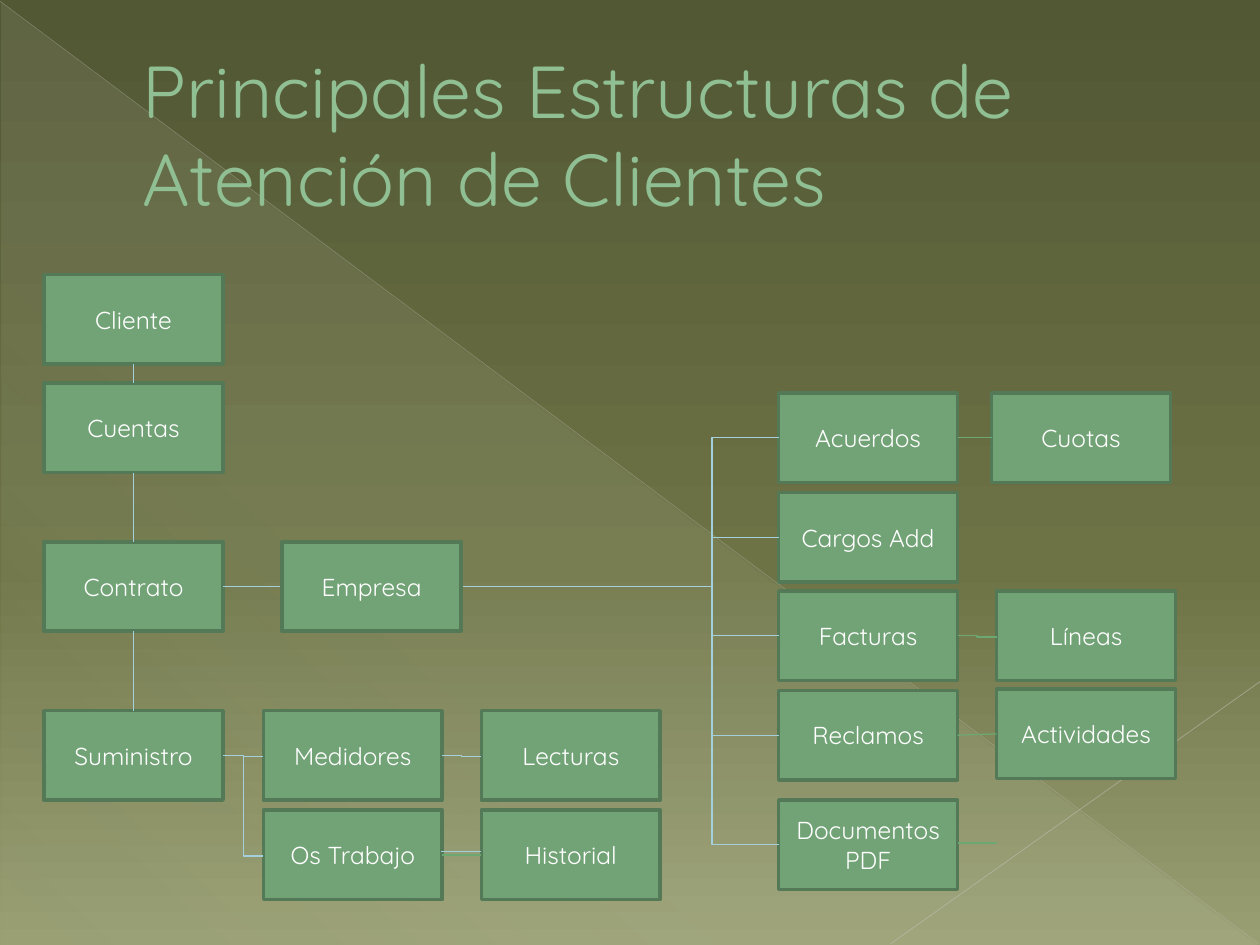
from lxml import etree
from pptx import Presentation
from pptx.dml.color import RGBColor
from pptx.enum.shapes import MSO_CONNECTOR, MSO_SHAPE
from pptx.enum.text import MSO_ANCHOR, MSO_AUTO_SIZE, PP_ALIGN
from pptx.oxml.ns import qn
from pptx.util import Inches, Pt

STRAIGHT, ELBOW = MSO_CONNECTOR.STRAIGHT, MSO_CONNECTOR.ELBOW
RECTANGLE, TRIANGLE = MSO_SHAPE.RECTANGLE, MSO_SHAPE.RIGHT_TRIANGLE
MIDDLE, NO_FIT = MSO_ANCHOR.MIDDLE, MSO_AUTO_SIZE.NONE
LEFT, CENTER = PP_ALIGN.LEFT, PP_ALIGN.CENTER
TOP_SIDE, LEFT_SIDE, BOTTOM_SIDE, RIGHT_SIDE = range(4)

FONT = "Quicksand"
OLIVE_DARK = RGBColor(0x52, 0x57, 0x34)
OLIVE = RGBColor(0x6D, 0x73, 0x45)
OLIVE_LIGHT = RGBColor(0x99, 0x9F, 0x73)
IVORY = RGBColor(0xEA, 0xEB, 0xDE)
RULE_GRAY = RGBColor(0xC1, 0xC3, 0xB9)
RULE_PALE = RGBColor(0xC8, 0xC9, 0xC1)
TITLE_GREEN = RGBColor(0x8F, 0xBF, 0x93)
TITLE_EDGE = RGBColor(0x4F, 0x71, 0x52)
BOX_GREEN = RGBColor(0x72, 0xA3, 0x76)
BOX_EDGE = RGBColor(0x54, 0x79, 0x57)
LINK_BLUE = RGBColor(0xA3, 0xD0, 0xDC)
LINK_GREEN = RGBColor(0x6D, 0xA8, 0x72)
WHITE = RGBColor(0xFF, 0xFF, 0xFF)

BOX_WIDTH, BOX_HEIGHT = 1.42, 0.71
TRUNK_BEND = 0.88
NODES = {
    "Cliente": (0.35, 2.18),
    "Cuentas": (0.35, 3.04),
    "Contrato": (0.35, 4.3),
    "Suministro": (0.35, 5.64),
    "Medidores": (2.09, 5.64),
    "Lecturas": (3.82, 5.64),
    "Os Trabajo": (2.09, 6.43),
    "Historial": (3.82, 6.43),
    "Acuerdos": (6.18, 3.12),
    "Cargos Add": (6.18, 3.91),
    "Facturas": (6.18, 4.69),
    "Reclamos": (6.18, 5.48),
    "Documentos\nPDF": (6.18, 6.35),
    "Cuotas": (7.87, 3.12),
    "Líneas": (7.91, 4.69),
    "Actividades": (7.91, 5.47),
}
TRUNK_ENDS = ["Acuerdos", "Cargos Add", "Facturas", "Reclamos", "Documentos\nPDF"]
COLUMN = ["Cliente", "Cuentas", "Contrato", "Suministro"]


def set_alpha(color_element, percent):
    etree.SubElement(color_element, qn("a:alpha"), val=str(percent * 1000))


def set_gradient(element, stops, angle):
    gradient = element.find(".//" + qn("a:gradFill"))
    stop_list = gradient.find(qn("a:gsLst"))
    for stop in list(stop_list):
        stop_list.remove(stop)
    for position, color, opacity in stops:
        stop = etree.SubElement(stop_list, qn("a:gs"), pos=str(position * 1000))
        color_element = etree.SubElement(stop, qn("a:srgbClr"), val=str(color))
        if opacity < 100:
            set_alpha(color_element, opacity)
    gradient.find(qn("a:lin")).set("ang", str(angle * 60000))


def add_line(page, start, end, color, width=0.75, kind=STRAIGHT, bend=None, opacity=100):
    points = [Inches(value) for value in (*start, *end)]
    line = page.shapes.add_connector(kind, *points)
    line.line.color.rgb = color
    line.line.width = Pt(width)
    properties = line.element.find(qn("p:spPr"))
    etree.SubElement(properties, qn("a:effectLst"))
    if opacity < 100:
        set_alpha(properties.find(".//" + qn("a:srgbClr")), opacity)
    if bend is not None:
        guides = properties.find(".//" + qn("a:avLst"))
        etree.SubElement(guides, qn("a:gd"), name="adj1",
                         fmla=f"val {round(bend * 100000)}")
    return line


def add_backdrop(page, width, height):
    page.background.fill.gradient()
    set_gradient(page.element, [(0, OLIVE_DARK, 100), (60, OLIVE, 100),
                                (100, OLIVE_LIGHT, 100)], 90)
    triangle = page.shapes.add_shape(TRIANGLE, Inches(0.01), Inches(0.02),
                                     Inches(width - 0.02), Inches(height - 0.02))
    triangle.shadow.inherit = False
    triangle.line.fill.background()
    triangle.fill.gradient()
    set_gradient(triangle.element, [(0, IVORY, 10), (70, IVORY, 8), (100, IVORY, 1)], 133)
    add_line(page, (0, 0.01), (width - 0.01, height - 0.01), RULE_GRAY, 0.39, opacity=35)
    add_line(page, (width, 5.41), (7.07, height - 0.01), RULE_PALE, 0.47, opacity=45)


def add_title(page, left, top, width, height):
    title = page.shapes.title
    title.element.getparent().append(title.element)
    title.left, title.top = Inches(left), Inches(top)
    title.width, title.height = Inches(width), Inches(height)
    frame = title.text_frame
    frame.word_wrap = True
    frame.auto_size = NO_FIT
    frame.vertical_anchor = MIDDLE
    para = frame.paragraphs[0]
    para.alignment = LEFT
    for index, text in enumerate(["Principales Estructuras de ", "Atención de Clientes"]):
        if index:
            para.add_line_break()
        span = para.add_run()
        span.text = text
        span.font.name = FONT
        span.font.size = Pt(42)
        span.font.color.rgb = TITLE_GREEN
    title.element.find(".//" + qn("a:pPr")).set("marL", str(Inches(0.53)))
    for properties in title.element.iter(qn("a:rPr")):
        edge = etree.Element(qn("a:ln"), w=str(Pt(0.5)))
        fill = etree.SubElement(edge, qn("a:solidFill"))
        etree.SubElement(fill, qn("a:srgbClr"), val=str(TITLE_EDGE))
        properties.insert(0, edge)


def add_node(page, text, left, top):
    box = page.shapes.add_shape(RECTANGLE, Inches(left), Inches(top),
                                Inches(BOX_WIDTH), Inches(BOX_HEIGHT))
    box.shadow.inherit = False
    box.fill.solid()
    box.fill.fore_color.rgb = BOX_GREEN
    box.line.color.rgb = BOX_EDGE
    box.line.width = Pt(2)
    frame = box.text_frame
    frame.word_wrap = True
    frame.vertical_anchor = MIDDLE
    for index, text_line in enumerate(text.split("\n")):
        para = frame.add_paragraph() if index else frame.paragraphs[0]
        para.alignment = CENTER
        span = para.add_run()
        span.text = text_line
        span.font.name = FONT
        span.font.size = Pt(14)
        span.font.color.rgb = WHITE
    return box


def side_point(name, side):
    left, top = NODES[name]
    return left + (BOX_WIDTH if side == RIGHT_SIDE else 0), top + BOX_HEIGHT / 2


def join_boxes(page, first, first_side, second, second_side, color):
    line = add_line(page, (0, 0), (1, 1), color)
    line.begin_connect(first, first_side)
    line.end_connect(second, second_side)


def add_diagram(page):
    boxes = {name: add_node(page, name, *corner) for name, corner in NODES.items()}
    for upper, lower in zip(COLUMN, COLUMN[1:]):
        join_boxes(page, boxes[upper], BOTTOM_SIDE, boxes[lower], TOP_SIDE, LINK_BLUE)
    for first, second in [("Acuerdos", "Cuotas"), ("Os Trabajo", "Historial"),
                          ("Reclamos", "Actividades")]:
        join_boxes(page, boxes[first], RIGHT_SIDE, boxes[second], LEFT_SIDE, LINK_GREEN)
    for name in TRUNK_ENDS:
        add_line(page, side_point("Contrato", RIGHT_SIDE), side_point(name, LEFT_SIDE),
                 LINK_BLUE, kind=ELBOW, bend=TRUNK_BEND)
    for first, second, color in [("Suministro", "Medidores", LINK_BLUE),
                                 ("Suministro", "Os Trabajo", LINK_BLUE),
                                 ("Medidores", "Lecturas", LINK_BLUE),
                                 ("Facturas", "Líneas", LINK_GREEN)]:
        start_x, start_y = side_point(first, RIGHT_SIDE)
        end_x, end_y = side_point(second, LEFT_SIDE)
        add_line(page, (start_x, start_y), (end_x, end_y + 0.01), color,
                 kind=ELBOW, bend=0.5)
    add_line(page, (3.5, 6.76), (3.82, 6.76), LINK_BLUE)
    add_line(page, (7.6, 6.69), (7.91, 6.69), LINK_GREEN)
    add_node(page, "Empresa", 2.24, 4.3)


def main():
    deck = Presentation()
    deck.slide_width, deck.slide_height = Inches(10), Inches(7.5)
    page = deck.slides.add_slide(deck.slide_layouts[5])
    add_backdrop(page, 10, 7.5)
    add_title(page, 0.5, 0.29, 9, 1.53)
    add_diagram(page)
    deck.save("out.pptx")


if __name__ == "__main__":
    main()
